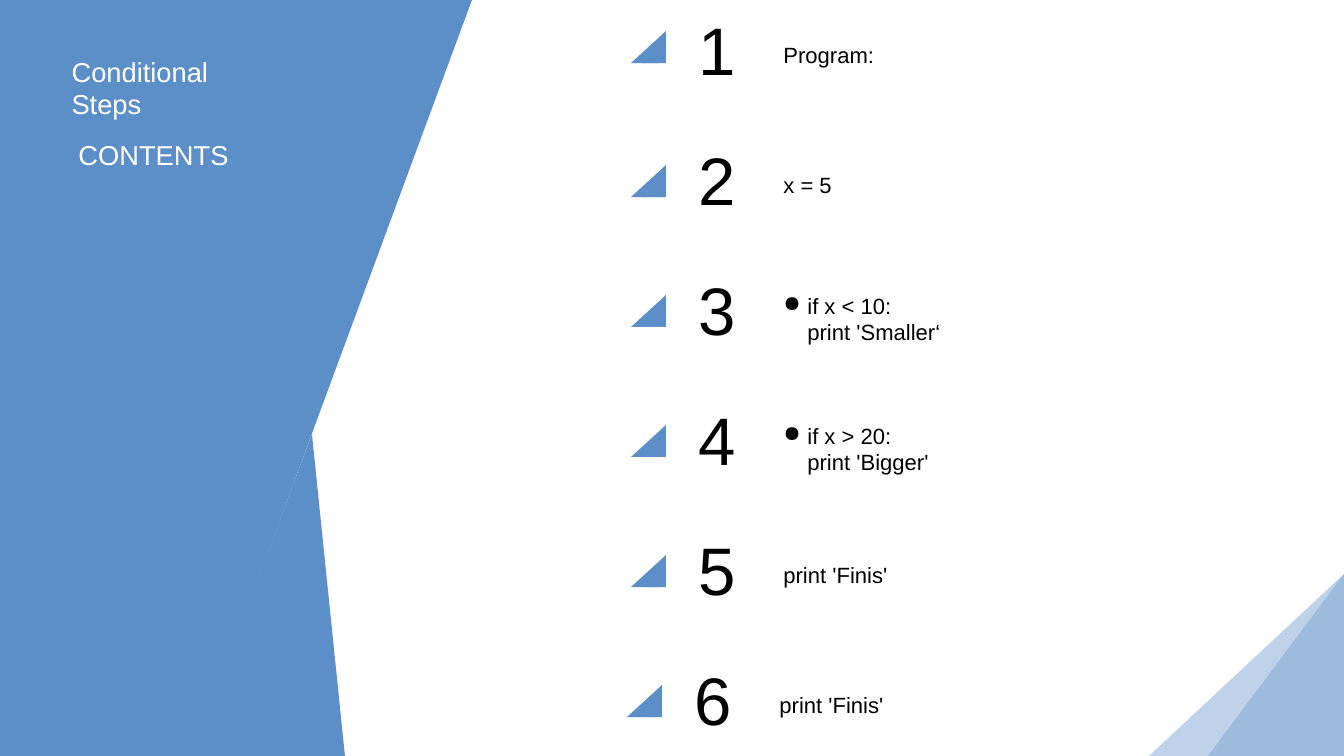
from lxml.etree import SubElement
from pptx import Presentation
from pptx.dml.color import RGBColor
from pptx.enum.shapes import MSO_SHAPE
from pptx.enum.text import MSO_ANCHOR, MSO_AUTO_SIZE, PP_ALIGN
from pptx.oxml.ns import qn
from pptx.util import Pt

PX = 914400 / 75.6
FONT = "Arial"
BLUE = RGBColor(0x5C, 0x8F, 0xC7)
MID_BLUE = RGBColor(0x9D, 0xBC, 0xDD)
PALE_BLUE = RGBColor(0xBE, 0xD2, 0xE9)
WHITE = RGBColor(0xFF, 0xFF, 0xFF)
BLACK = RGBColor(0, 0, 0)

# Each step is a list of lines; a second line makes the first one a bullet.
STEPS = [
    ["Program:"],
    ["x = 5"],
    ["if x < 10:", "print 'Smaller‘"],
    ["if x > 20:", "print 'Bigger'"],
    ["print 'Finis'"],
    ["print 'Finis'"],
]
ROW_PITCH = 130


def px(*lengths):
    return [round(length * PX) for length in lengths]


def paint(sp, color):
    sp.shadow.inherit = False
    sp.fill.solid()
    sp.fill.fore_color.rgb = color
    sp.line.fill.background()


def polygon(shapes, x, y, points, color):
    """Draw a closed outline whose points are relative to (x, y)."""
    points = [(x + dx, y + dy) for dx, dy in points]
    builder = shapes.build_freeform(*points[0], scale=PX)
    builder.add_line_segments(points[1:], close=True)
    paint(builder.convert_to_shape(), color)


def right_triangle(shapes, x, y, w, h, color):
    sp = shapes.add_shape(MSO_SHAPE.ISOSCELES_TRIANGLE, *px(x, y, w, h))
    sp.adjustments[0] = 1
    paint(sp, color)


def add_run(p, text, size, color):
    r = p.add_run()
    r.text = text
    r.font.name = FONT
    r.font.size = Pt(size)
    r.font.color.rgb = color


def text_box(s, x, y, w, h, anchor=MSO_ANCHOR.TOP):
    tf = s.shapes.add_textbox(*px(x, y, w, h)).text_frame
    tf.word_wrap = True
    tf.vertical_anchor = anchor
    return tf


def indent(p, left, first):
    pPr = p._p.get_or_add_pPr()
    pPr.set("marL", str(px(left)[0]))
    pPr.set("indent", str(px(first)[0]))
    return pPr


def bullet(p):
    p.line_spacing = 1.3
    pPr = indent(p, 24, -24)
    color = SubElement(pPr, qn("a:buClr"))
    SubElement(color, qn("a:srgbClr")).set("val", str(BLACK))
    SubElement(pPr, qn("a:buChar")).set("char", "●")


def corner(s, x, y, w, h):
    shapes = s.shapes.add_group_shape().shapes
    polygon(shapes, x, y, [(w, 0), (w - 37, h), (0, h)], PALE_BLUE)
    right_triangle(shapes, x + w - 136, y, 136, h, MID_BLUE)


def side_panel(s, x, y, w, h):
    polygon(s.shapes, x, y, [(0, 0), (365, 0), (190, h), (0, h)], BLUE)
    polygon(s.shapes, x, y, [(w, 0), (193, h), (189, h), (362, 0)], BLUE)
    polygon(s.shapes, x, y, [(312, 434), (345, h), (192, h)], BLUE)

    title = s.shapes.title
    s.shapes._spTree.append(title._element)  # bring in front of the panel
    title.left, title.top, title.width, title.height = px(x + 64, y + 51, 155, 91)
    tf = title.text_frame
    tf.word_wrap = True
    tf.auto_size = MSO_AUTO_SIZE.NONE
    tf.vertical_anchor = MSO_ANCHOR.TOP
    p = tf.paragraphs[0]
    p.alignment = PP_ALIGN.LEFT
    add_run(p, "Conditional Steps", 26, WHITE)

    tf = text_box(s, x + 71, y + 135, 176, 44)
    add_run(tf.paragraphs[0], "CONTENTS", 26, WHITE)


def marker(s, x, y, w, h):
    polygon(s.shapes, x, y, [(w, 0), (w - 7, h), (0, h)], BLUE)
    right_triangle(s.shapes, x + w - 24, y, 24, h, BLUE)


def step_row(s, x, y, w, h, number, lines, marker_top):
    marker(s, x, y + marker_top, 35, 32)
    tf = text_box(s, x + 60, y, 58, h)
    add_run(tf.paragraphs[0], str(number), 64, BLACK)

    tf = text_box(s, x + 145, y + 4, w - 145, h, MSO_ANCHOR.MIDDLE)
    p = tf.paragraphs[0]
    if len(lines) > 1:
        bullet(p)
    add_run(p, lines[0], 21, BLACK)
    for line in lines[1:]:
        p = tf.add_paragraph()
        p.level = 1
        indent(p, 24, 0)
        add_run(p, line, 21, BLACK)


def steps(s, x, y, w, h):
    last = len(STEPS)
    for number, lines in enumerate(STEPS, 1):
        left = x - 4 if number == last else x
        marker_top = 26 if number == 1 else 30
        top = y + (number - 1) * ROW_PITCH
        step_row(s, left, top, w, h, number, lines, marker_top)


def main():
    prs = Presentation()
    prs.slide_width, prs.slide_height = px(1344, 756)
    s = prs.slides.add_slide(prs.slide_layouts[5])
    s.background.fill.solid()
    s.background.fill.fore_color.rgb = WHITE
    corner(s, 1149, 574, 195, 182)
    side_panel(s, 0, 0, 472, 756)
    steps(s, 631, 5, 463, 91)
    prs.save("out.pptx")


if __name__ == "__main__":
    main()
